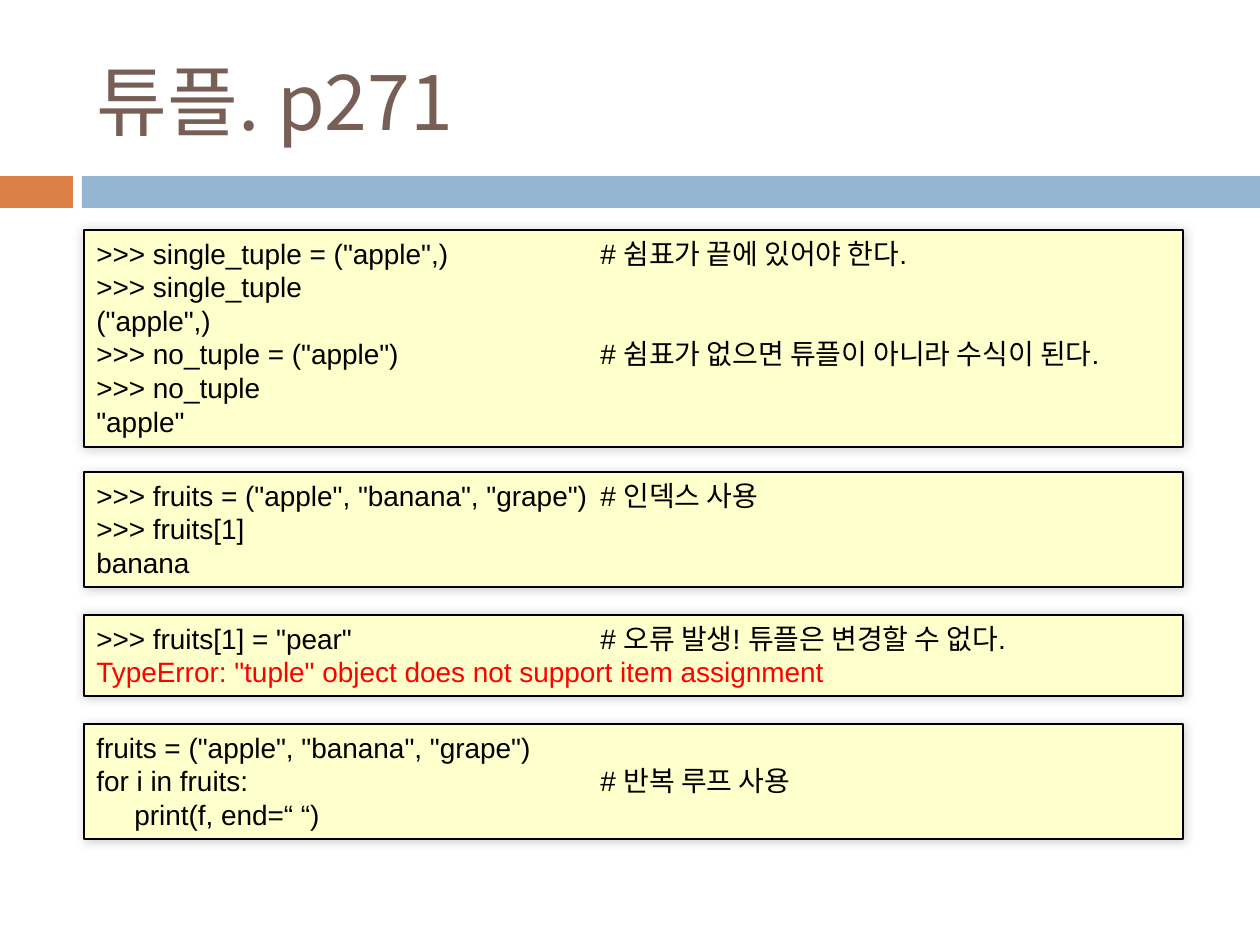
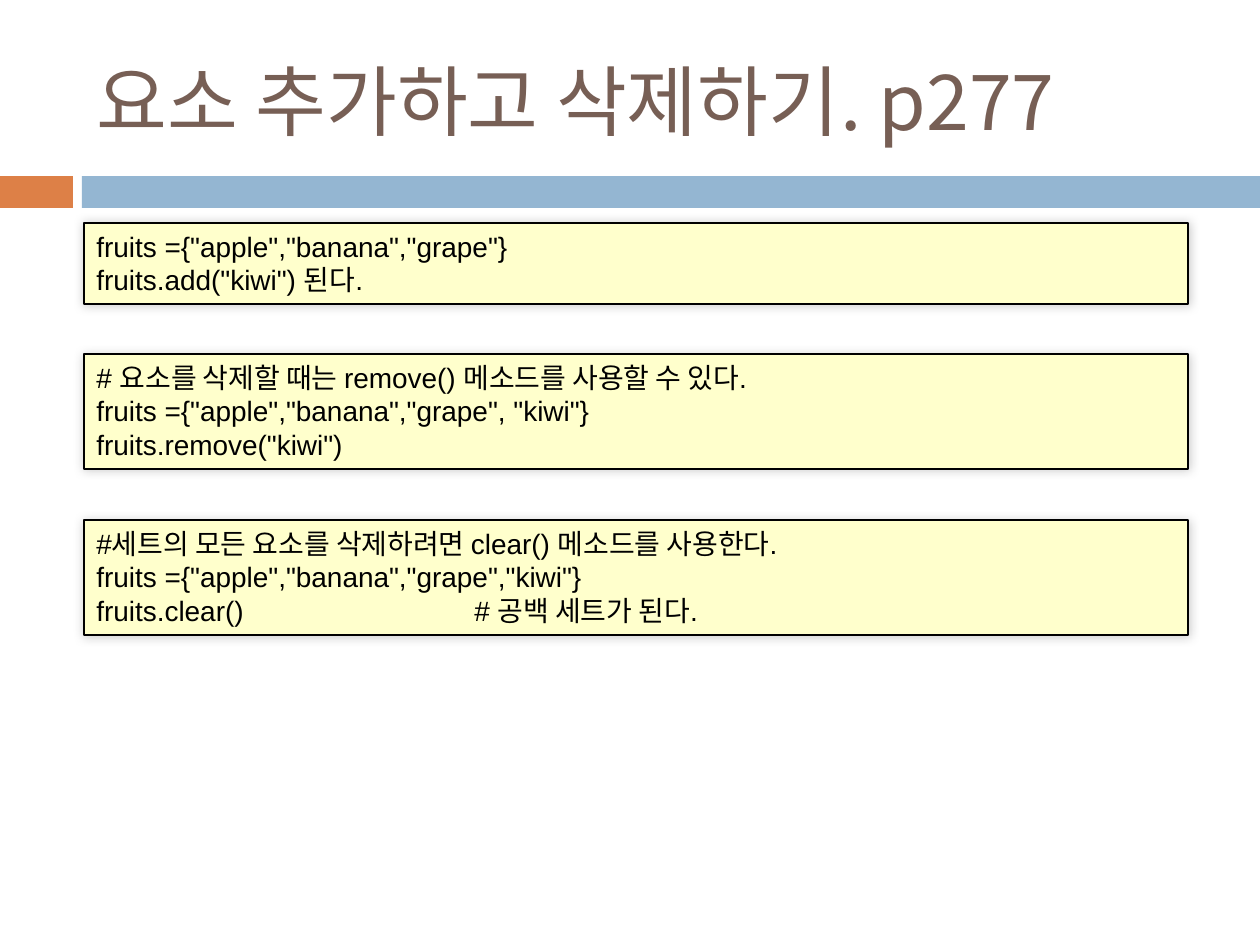
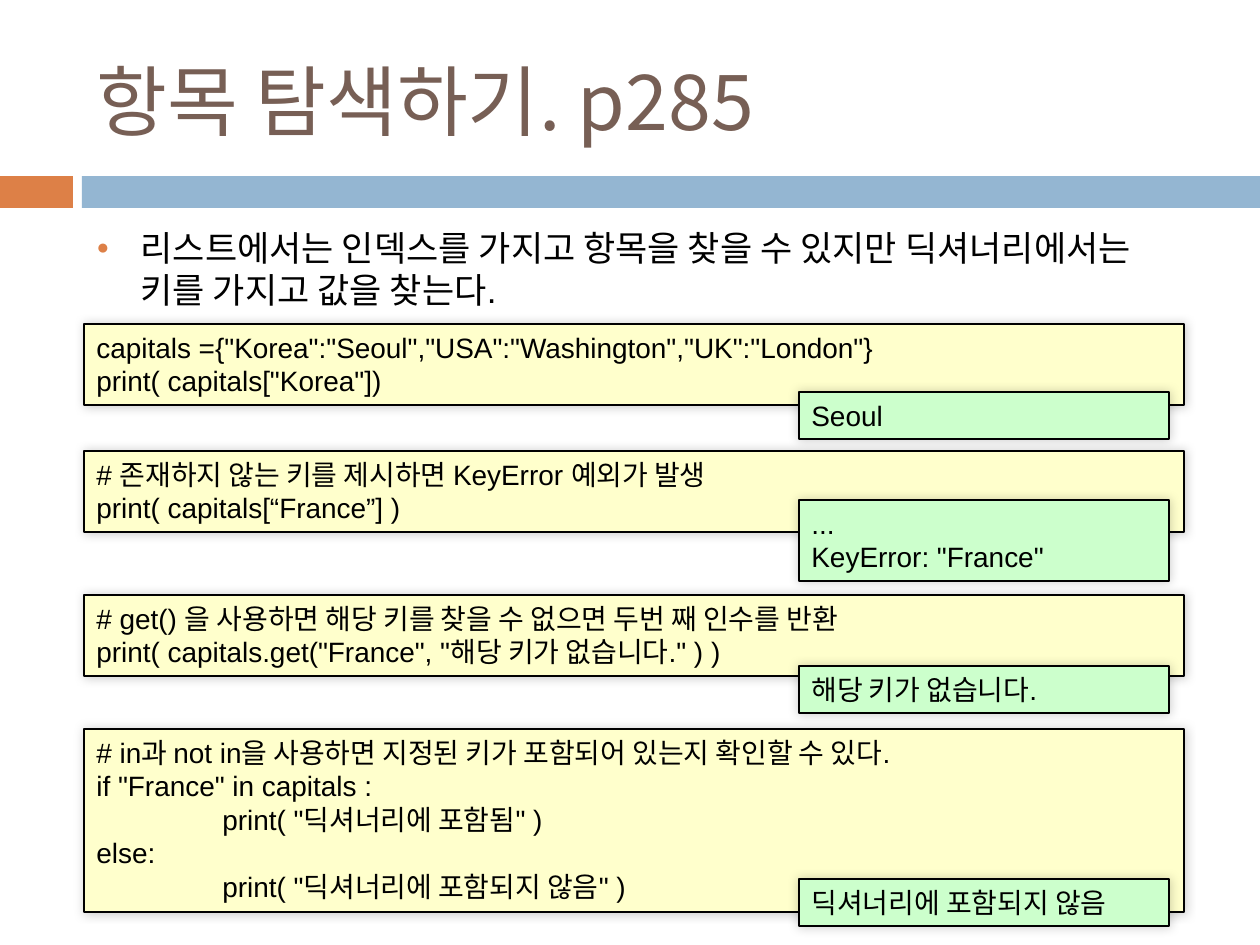
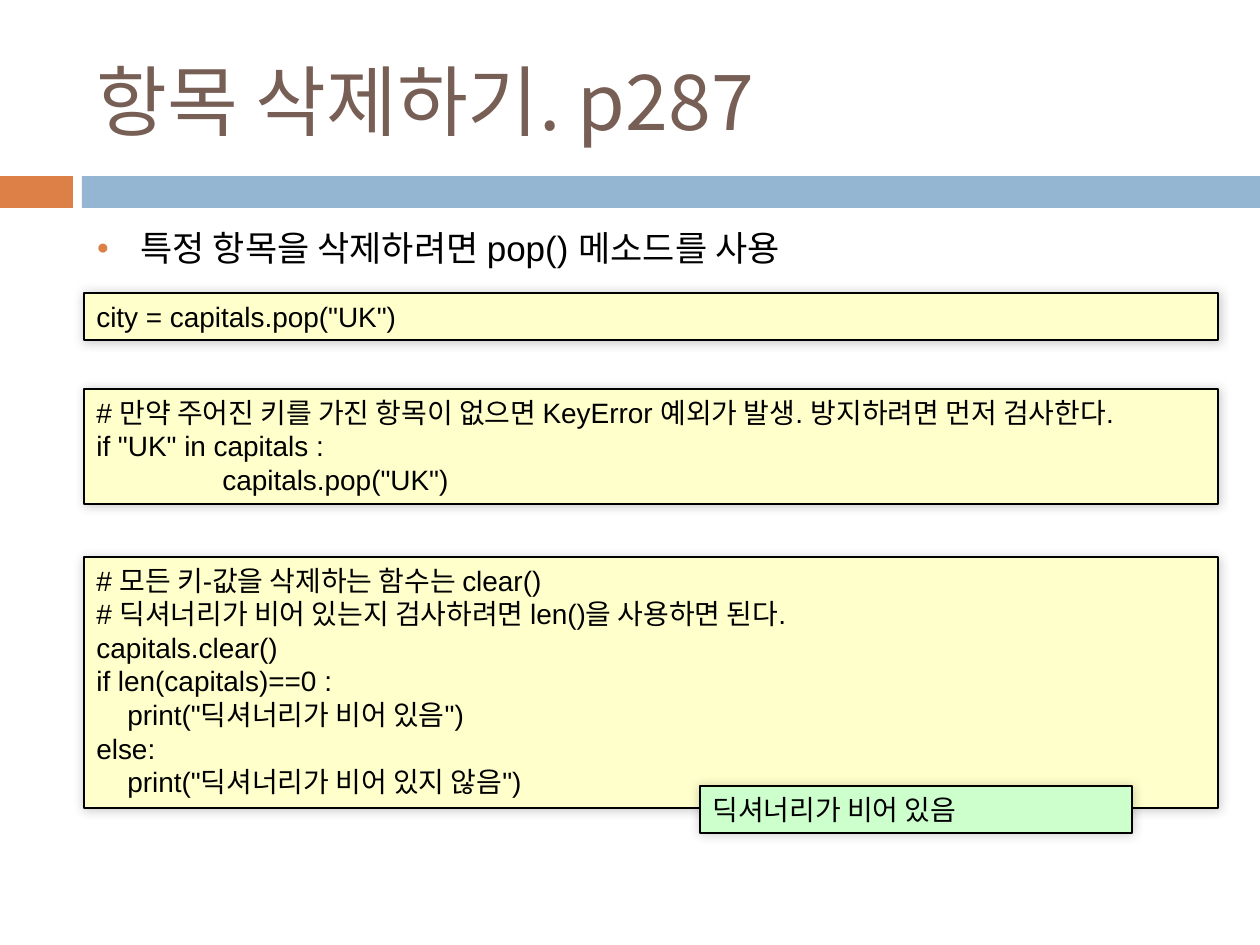
from collections import namedtuple

from lxml import etree
from pptx import Presentation
from pptx.dml.color import RGBColor
from pptx.enum.shapes import MSO_SHAPE
from pptx.enum.text import MSO_ANCHOR, MSO_AUTO_SIZE, PP_ALIGN
from pptx.oxml.ns import qn
from pptx.util import Emu, Inches, Pt

RECTANGLE = MSO_SHAPE.RECTANGLE
TOP, MIDDLE = MSO_ANCHOR.TOP, MSO_ANCHOR.MIDDLE
FIXED_SIZE = MSO_AUTO_SIZE.NONE
LEFT_ALIGN = PP_ALIGN.LEFT

BLACK = RGBColor(0, 0, 0)
RED = RGBColor(0xFF, 0, 0)
BROWN = RGBColor(0x77, 0x5F, 0x55)
ORANGE = RGBColor(0xDD, 0x80, 0x47)
BLUE = RGBColor(0x94, 0xB6, 0xD2)
CODE_YELLOW = RGBColor(0xFF, 0xFF, 0xCC)
OUTPUT_GREEN = RGBColor(0xCC, 0xFF, 0xCC)

PX_PER_INCH = 126
KOREAN_FONT = "Noto Sans CJK KR"
TITLE_FONT = {"name": KOREAN_FONT, "size": Pt(44), "bold": False}
BODY_FONT = {"name": "Arial", "size": Pt(20)}
CODE_FONT = {"name": "Arial", "size": Pt(16)}

MARGIN = 84
PLACEHOLDER_WIDTH = 1124
LINE_HEIGHT = 34
BOX_PADDING = 13
TITLE_ONLY, TITLE_AND_BODY = 5, 1

Line = namedtuple("Line", "text indent color", defaults=(0, BLACK))


def px(length):
    return Emu(round(length * 914400 / PX_PER_INCH))


def place(shape, left, top, width, height):
    values = {"left": left, "top": top, "width": width, "height": height}
    for name, value in values.items():
        setattr(shape, name, px(value))


def add_child(parent, tag, **attributes):
    child = etree.SubElement(parent, qn(tag))
    for name, value in attributes.items():
        child.set(name, str(value))
    return child


def set_frame(frame, anchor):
    values = {"word_wrap": True, "auto_size": FIXED_SIZE, "vertical_anchor": anchor}
    for name, value in values.items():
        setattr(frame, name, value)


def write(para, text, font, color):
    para.alignment = LEFT_ALIGN
    span = para.add_run()
    span.text = text
    for name, value in font.items():
        setattr(span.font, name, value)
    span.font.color.rgb = color
    add_child(span.font._element, "a:ea", typeface=KOREAN_FONT)


def add_rectangle(page, left, top, width, height, fill):
    shape = page.shapes.add_shape(RECTANGLE, *map(px, (left, top, width, height)))
    shape.shadow.inherit = False
    shape.fill.solid()
    shape.fill.fore_color.rgb = fill
    shape.line.fill.background()
    return shape


def add_glow(shape):
    """Give the shape a soft, centred shadow."""
    effects = shape.element.spPr.find(qn("a:effectLst"))
    shadow = add_child(effects, "a:outerShdw", blurRad=Pt(6), dist=0,
                       dir=315 * 60000, algn="ctr", rotWithShape=0)
    color = add_child(shadow, "a:srgbClr", val=BLACK)
    add_child(color, "a:alpha", val=20000)


def add_tab_stops(para):
    stops = add_child(para._p.get_or_add_pPr(), "a:tabLst")
    for inch in range(1, 5):
        add_child(stops, "a:tab", pos=Inches(inch), algn="l")


def add_box(page, left, top, width, fill, lines):
    """Add a bordered box whose height follows from its number of lines."""
    height = BOX_PADDING + LINE_HEIGHT * len(lines)
    box = add_rectangle(page, left, top, width, height, fill)
    box.line.color.rgb = BLACK
    box.line.width = Pt(0.75)
    add_glow(box)
    frame = box.text_frame
    set_frame(frame, TOP)
    for index, entry in enumerate(lines):
        line = entry if isinstance(entry, Line) else Line(entry)
        para = frame.add_paragraph() if index else frame.paragraphs[0]
        write(para, line.text, CODE_FONT, line.color)
        para.line_spacing = Pt(19.2)
        para._p.get_or_add_pPr().set("marL", str(px(line.indent)))
        add_tab_stops(para)


def add_code(page, width, blocks):
    for top, lines in blocks:
        add_box(page, MARGIN, top, width, CODE_YELLOW, lines)


def add_output(page, left, width, blocks):
    for top, lines in blocks:
        add_box(page, left, top, width, OUTPUT_GREEN, lines)


def add_page(deck, title, bullet=None):
    layout = deck.slide_layouts[TITLE_AND_BODY if bullet else TITLE_ONLY]
    page = deck.slides.add_slide(layout)
    heading = page.shapes.title
    place(heading, MARGIN, 32, PLACEHOLDER_WIDTH, 136)
    set_frame(heading.text_frame, MIDDLE)
    write(heading.text_frame.paragraphs[0], title, TITLE_FONT, BROWN)
    if bullet:
        fill_body(page.placeholders[1], bullet)
    return page


def fill_body(body, text):
    place(body, MARGIN, 220, PLACEHOLDER_WIDTH, 620)
    set_frame(body.text_frame, TOP)
    para = body.text_frame.paragraphs[0]
    write(para, text, BODY_FONT, BLACK)
    para.line_spacing = Pt(24)
    para.space_before = Pt(7)
    properties = para._p.get_or_add_pPr()
    properties.set("marL", str(px(44)))
    properties.set("indent", str(px(-44)))
    add_child(add_child(properties, "a:buClr"), "a:srgbClr", val=ORANGE)
    add_child(properties, "a:buSzPct", val=60000)
    add_child(properties, "a:buChar", char="●")


def move_bands_to_master(deck, page):
    """Draw the two header bands and hand them to the slide master."""
    for left, width, color in ((0, 73, ORANGE), (82, 1178, BLUE)):
        band = add_rectangle(page, left, 176, width, 32, color)
        deck.slide_master.shapes.element.append(band.element)


def build_tuples(deck):
    page = add_page(deck, "튜플. p271")
    move_bands_to_master(deck, page)
    add_code(page, 1099, [
        (230, ['>>> single_tuple = ("apple",)\t\t# 쉼표가 끝에 있어야 한다.',
               ">>> single_tuple",
               '("apple",)',
               '>>> no_tuple = ("apple")\t\t# 쉼표가 없으면 튜플이 아니라 수식이 된다.',
               ">>> no_tuple",
               '"apple"']),
        (472, ['>>> fruits = ("apple", "banana", "grape")\t# 인덱스 사용',
               ">>> fruits[1]",
               "banana"]),
        (615, ['>>> fruits[1] = "pear"\t\t# 오류 발생! 튜플은 변경할 수 없다.',
               Line('TypeError: "tuple" object does not support item assignment',
                    color=RED)]),
        (724, ['fruits = ("apple", "banana", "grape")',
               "for i in fruits:\t\t\t# 반복 루프 사용",
               Line("print(f, end=“ “)", indent=38)]),
    ])


def build_set_changes(deck):
    page = add_page(deck, "요소 추가하고 삭제하기. p277")
    add_code(page, 1104, [
        (223, ['fruits ={"apple","banana","grape"}',
               'fruits.add("kiwi") 된다.']),
        (354, ["# 요소를 삭제할 때는 remove() 메소드를 사용할 수 있다.",
               'fruits ={"apple","banana","grape", "kiwi"}',
               'fruits.remove("kiwi")']),
        (520, ["#세트의 모든 요소를 삭제하려면 clear() 메소드를 사용한다.",
               'fruits ={"apple","banana","grape","kiwi"}',
               "fruits.clear()\t\t# 공백 세트가 된다."]),
    ])


def build_lookup(deck):
    page = add_page(deck, "항목 탐색하기. p285",
                    "리스트에서는 인덱스를 가지고 항목을 찾을 수 있지만 "
                    "딕셔너리에서는 키를 가지고 값을 찾는다.")
    add_code(page, 1100, [
        (324, ['capitals ={"Korea":"Seoul","USA":"Washington","UK":"London"}',
               'print( capitals["Korea"])']),
        (451, ["# 존재하지 않는 키를 제시하면 KeyError 예외가 발생",
               "print( capitals[“France”] )"]),
        (595, ["# get() 을 사용하면 해당 키를 찾을 수 없으면 두번 째 인수를 반환",
               'print( capitals.get("France", "해당 키가 없습니다." ) )']),
        (729, ["# in과 not in을 사용하면 지정된 키가 포함되어 있는지 확인할 수 있다.",
               'if "France" in capitals :',
               '\tprint( "딕셔너리에 포함됨" )',
               "else:",
               '\tprint( "딕셔너리에 포함되지 않음" )']),
    ])
    add_output(page, 799, 370, [
        (392, ["Seoul"]),
        (500, ["...", 'KeyError: "France"']),
        (666, ["해당 키가 없습니다."]),
        (879, ["딕셔너리에 포함되지 않음"]),
    ])


def build_removal(deck):
    page = add_page(deck, "항목 삭제하기. p287",
                    "특정 항목을 삭제하려면 pop() 메소드를 사용")
    add_code(page, 1134, [
        (293, ['city = capitals.pop("UK")']),
        (389, ["# 만약 주어진 키를 가진 항목이 없으면 KeyError 예외가 발생. "
               "방지하려면 먼저 검사한다.",
               'if "UK" in capitals :',
               '\tcapitals.pop("UK")']),
        (557, ["# 모든 키-값을 삭제하는 함수는 clear()",
               "# 딕셔너리가 비어 있는지 검사하려면 len()을 사용하면 된다.",
               "capitals.clear()",
               "if len(capitals)==0 :",
               Line('print("딕셔너리가 비어 있음")', indent=31),
               "else:",
               Line('print("딕셔너리가 비어 있지 않음")', indent=31)]),
    ])
    add_output(page, 700, 432, [(786, ["딕셔너리가 비어 있음"])])


def main():
    deck = Presentation()
    deck.slide_width, deck.slide_height = px(1260), px(945)
    for build in (build_tuples, build_set_changes, build_lookup, build_removal):
        build(deck)
    deck.save("out.pptx")


if __name__ == "__main__":
    main()
